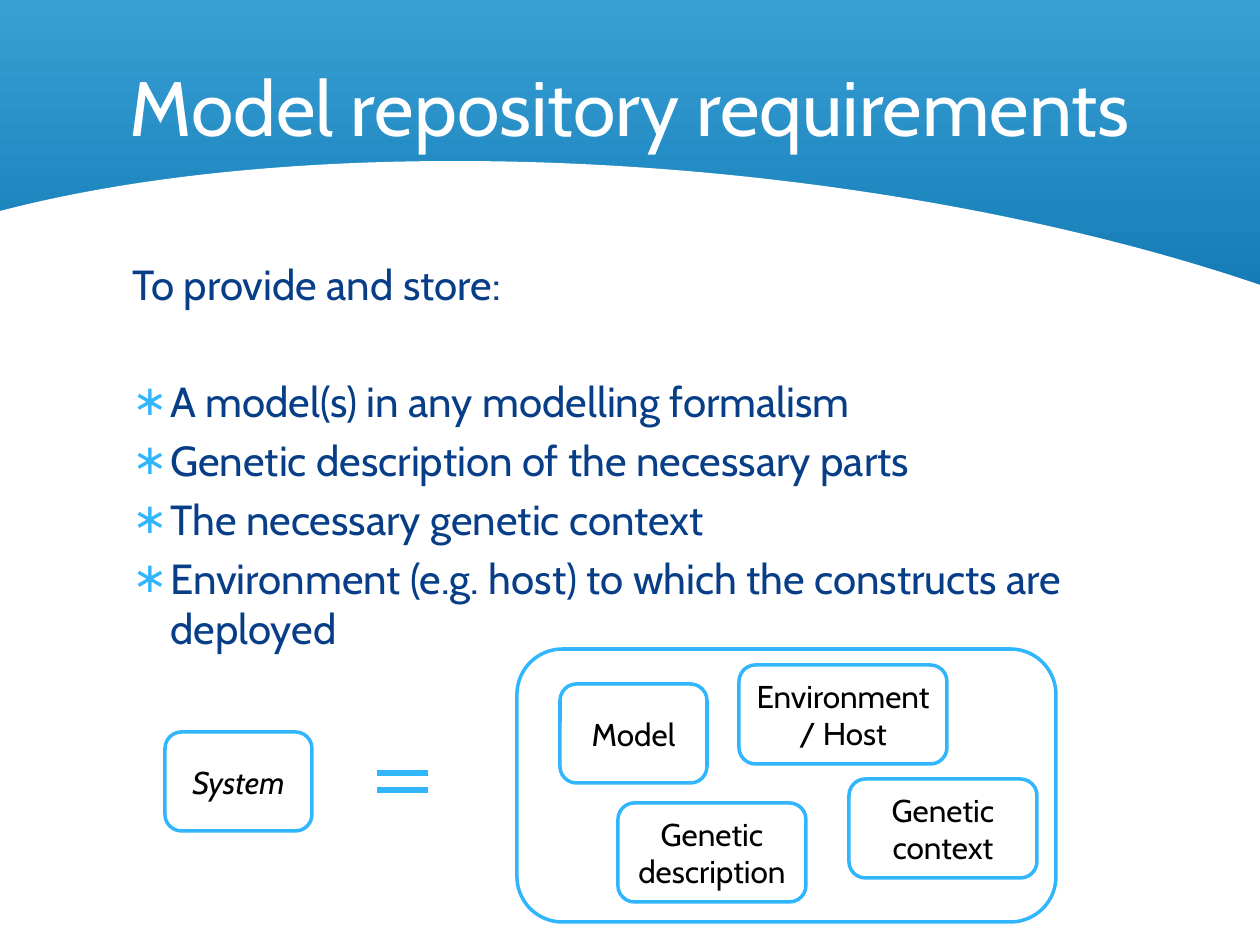
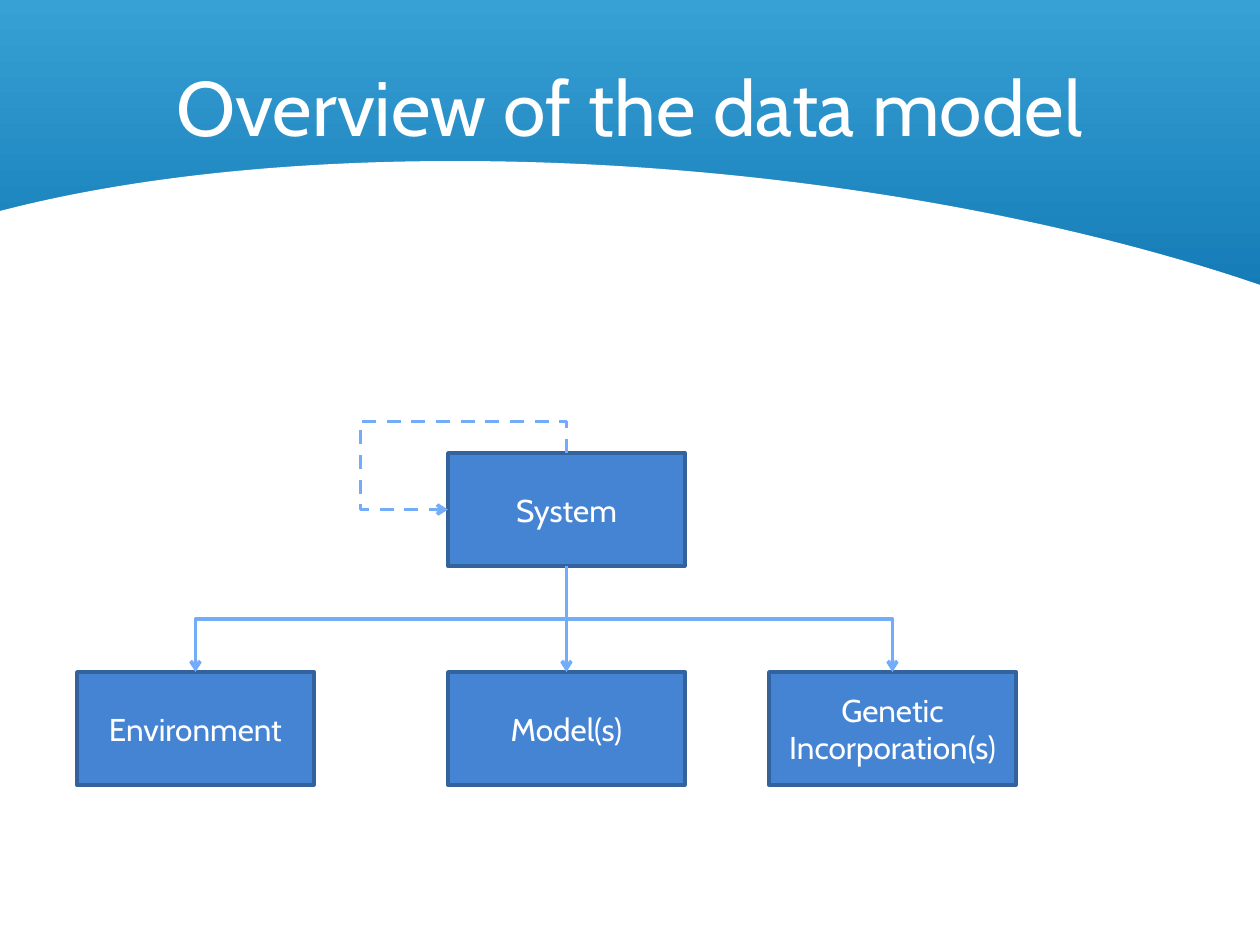
from lxml.etree import SubElement
from pptx import Presentation
from pptx.dml.color import RGBColor
from pptx.enum.dml import MSO_LINE
from pptx.enum.shapes import MSO_CONNECTOR, MSO_SHAPE
from pptx.enum.text import MSO_ANCHOR, PP_ALIGN
from pptx.oxml.ns import qn
from pptx.util import Emu, Pt

FONT = "Cabin"
WHITE = RGBColor(0xFF, 0xFF, 0xFF)
BLACK = RGBColor(0x00, 0x00, 0x00)
NAVY = RGBColor(0x07, 0x3E, 0x87)
SKY = RGBColor(0x31, 0xB6, 0xFD)
BAND_TOP = RGBColor(0x37, 0xA1, 0xD5)
BAND_BOTTOM = RGBColor(0x02, 0x66, 0xA5)
BOX_FILL = RGBColor(0x45, 0x84, 0xD3)
BOX_LINE = RGBColor(0x33, 0x62, 0x9C)
ARROW = RGBColor(0x73, 0xAC, 0xF8)

# Requirements slide
REQUIREMENTS_TITLE = "Model repository requirements"
INTRO = "To provide and store:"
REQUIREMENTS = [
    "A model(s) in any modelling formalism",
    "Genetic description of the necessary parts",
    "The necessary genetic context",
    "Environment (e.g. host) to which the constructs are deployed",
]
CARD_HEIGHT = 99
CARDS = [  # text, left, top, width, italic
    ("System", 165, 732, 147, True),
    ("Model", 560, 684, 147, False),
    ("Genetic description", 618, 803, 188, False),
    ("Environment/ Host", 739, 665, 208, False),
    ("Genetic context", 849, 779, 188, False),
]

# Data model slide
DATA_MODEL_TITLE = "Overview of the data model"
SYSTEM_TOP, PART_TOP, BOX_WIDTH, BOX_HEIGHT = 453, 672, 237, 113
SYSTEM_LEFT = 448
PARTS = [  # text, left, width, connector rotation, mirrored
    ("Environment", 77, BOX_WIDTH, 90, False),
    ("Model(s)", SYSTEM_LEFT, BOX_WIDTH, None, False),
    ("Genetic Incorporation(s)", 769, 247, 270, True),
]
TOP, LEFT, BOTTOM = 0, 1, 2  # connection sites of a rectangle


def px(length):
    """Turn pixels into EMU."""
    return Emu(round(length * 914400 / 126))


def write(paragraph, text, size=18, color=BLACK, italic=False,
          align=PP_ALIGN.CENTER, before=0):
    """Put formatted text into a paragraph."""
    paragraph.alignment = align
    paragraph.space_before = Pt(before)
    run = paragraph.add_run()
    run.text = text
    run.font.name = FONT
    run.font.size = Pt(size)
    run.font.color.rgb = color
    run.font.italic = italic


def add_shape(slide, kind, box, fill=None, line=None, line_width=2):
    """Add a preset shape without shadow; box is left, top, width, height."""
    shape = slide.shapes.add_shape(kind, *map(px, box))
    shape.shadow.inherit = False
    if fill is not None:
        shape.fill.solid()
        shape.fill.fore_color.rgb = fill
    if line is None:
        shape.line.fill.background()
    else:
        shape.line.color.rgb = line
        shape.line.width = Pt(line_width)
    return shape


def add_label_box(slide, kind, box, text, fill, line, **text_format):
    """Add an outlined shape with a centred label."""
    shape = add_shape(slide, kind, box, fill, line)
    frame = shape.text_frame
    frame.word_wrap = True
    frame.vertical_anchor = MSO_ANCHOR.MIDDLE
    write(frame.paragraphs[0], text, **text_format)
    return shape


def add_text_frame(slide, box, anchor=MSO_ANCHOR.TOP):
    """Add a wrapping text box and return its text frame."""
    frame = slide.shapes.add_textbox(*map(px, box)).text_frame
    frame.word_wrap = True
    frame.vertical_anchor = anchor
    return frame


def add_titled_slide(presentation, title):
    """Add a slide with the curved gradient band and its title."""
    slide = presentation.slides.add_slide(presentation.slide_layouts[6])
    band = add_shape(slide, MSO_SHAPE.RECTANGLE, (0, -1, 1260, 452))
    band.fill.gradient()
    band.fill.gradient_angle = 270
    for stop, position, color in zip(band.fill.gradient_stops, (0, 1),
                                     (BAND_TOP, BAND_BOTTOM)):
        stop.position = position
        stop.color.rgb = color
    curve = add_shape(slide, MSO_SHAPE.OVAL, (-284, 172, 1933, 658), WHITE)
    curve.rotation = 5.4
    frame = add_text_frame(slide, (63, 19, 1134, 173), MSO_ANCHOR.MIDDLE)
    write(frame.paragraphs[0], title, size=44, color=WHITE)
    return slide


def set_hanging_indent(paragraph, bullet=None):
    """Indent a paragraph and give it a bullet if one is named."""
    properties = paragraph._p.get_or_add_pPr()
    properties.set("marL", str(px(38)))
    properties.set("indent", str(-px(38)))
    if bullet:
        color = SubElement(properties, qn("a:buClr"))
        SubElement(color, qn("a:srgbClr")).set("val", str(SKY))
        SubElement(properties, qn("a:buFont")).set("typeface", FONT)
        SubElement(properties, qn("a:buChar")).set("char", bullet)


def add_arrow(slide, start, end, preset=None, rotation=0, flips=(),
              adjustments=(), dashed=False):
    """Join two (shape, site) ends; a preset makes a turned, bent arrow."""
    kind = MSO_CONNECTOR.ELBOW if preset else MSO_CONNECTOR.STRAIGHT
    connector = slide.shapes.add_connector(kind, 0, 0, 0, 0)
    connector.begin_connect(*start)
    connector.end_connect(*end)
    connector.line.color.rgb = ARROW
    connector.line.width = Pt(2)
    if dashed:
        connector.line.dash_style = MSO_LINE.DASH
    properties = connector._element.spPr
    tail = SubElement(connector.line._get_or_add_ln(), qn("a:tailEnd"))
    tail.set("type", "arrow")
    SubElement(properties, qn("a:effectLst"))
    if preset:
        # A quarter turn swaps width and height around the same centre.
        left, top = connector.left, connector.top
        width, height = connector.width, connector.height
        connector.left = left + (width - height) // 2
        connector.top = top + (height - width) // 2
        connector.width, connector.height = height, width
        transform = properties.find(qn("a:xfrm"))
        for name in ("flipH", "flipV"):
            transform.set(name, "1" if name in flips else "0")
        transform.set("rot", str(rotation * 60000))
        geometry = properties.find(qn("a:prstGeom"))
        geometry.set("prst", preset)
        guides = geometry.find(qn("a:avLst"))
        if guides is None:
            guides = SubElement(geometry, qn("a:avLst"))
        for number, share in enumerate(adjustments, 1):
            guide = SubElement(guides, qn("a:gd"))
            guide.set("name", f"adj{number}")
            guide.set("fmla", f"val {round(share * 100000)}")


def build_requirements(presentation):
    """Build the list of requirements and the system equation."""
    slide = add_titled_slide(presentation, REQUIREMENTS_TITLE)
    frame = add_text_frame(slide, (120, 252, 1021, 475))
    body = dict(size=24, color=NAVY, align=PP_ALIGN.LEFT)
    write(frame.paragraphs[0], INTRO, before=4.8, **body)
    set_hanging_indent(frame.paragraphs[0])
    for number, text in enumerate(REQUIREMENTS):
        paragraph = frame.add_paragraph()
        write(paragraph, text, before=4.8 if number else 38.4, **body)
        set_hanging_indent(paragraph, "\u2217")

    add_shape(slide, MSO_SHAPE.ROUNDED_RECTANGLE, (517, 649, 539, 273),
              WHITE, SKY)
    for text, left, top, width, italic in CARDS:
        add_label_box(slide, MSO_SHAPE.ROUNDED_RECTANGLE,
                      (left, top, width, CARD_HEIGHT), text, WHITE, SKY,
                      italic=italic)
    add_shape(slide, MSO_SHAPE.MATH_EQUAL, (364, 757, 77, 49), SKY, WHITE, 3)


def build_data_model(presentation):
    """Build the tree of the system and its parts."""
    slide = add_titled_slide(presentation, DATA_MODEL_TITLE)

    def add_box(text, left, top, width):
        """Add one box of the tree."""
        return add_label_box(slide, MSO_SHAPE.RECTANGLE,
                             (left, top, width, BOX_HEIGHT), text,
                             BOX_FILL, BOX_LINE, color=WHITE)

    system = add_box("System", SYSTEM_LEFT, SYSTEM_TOP, BOX_WIDTH)
    add_arrow(slide, (system, TOP), (system, LEFT), "bentConnector4", 270,
              ("flipH", "flipV"), (-0.56, 1.74), dashed=True)
    for text, left, width, rotation, mirrored in PARTS:
        part = add_box(text, left, PART_TOP, width)
        ends = (system, BOTTOM), (part, TOP)
        if rotation is None:
            add_arrow(slide, *ends)
        else:
            add_arrow(slide, *ends, "bentConnector3", rotation,
                      ("flipH",) if mirrored else (), (0.5,))


presentation = Presentation()
presentation.slide_width = px(1260)
presentation.slide_height = px(945)
build_requirements(presentation)
build_data_model(presentation)
presentation.save("out.pptx")
